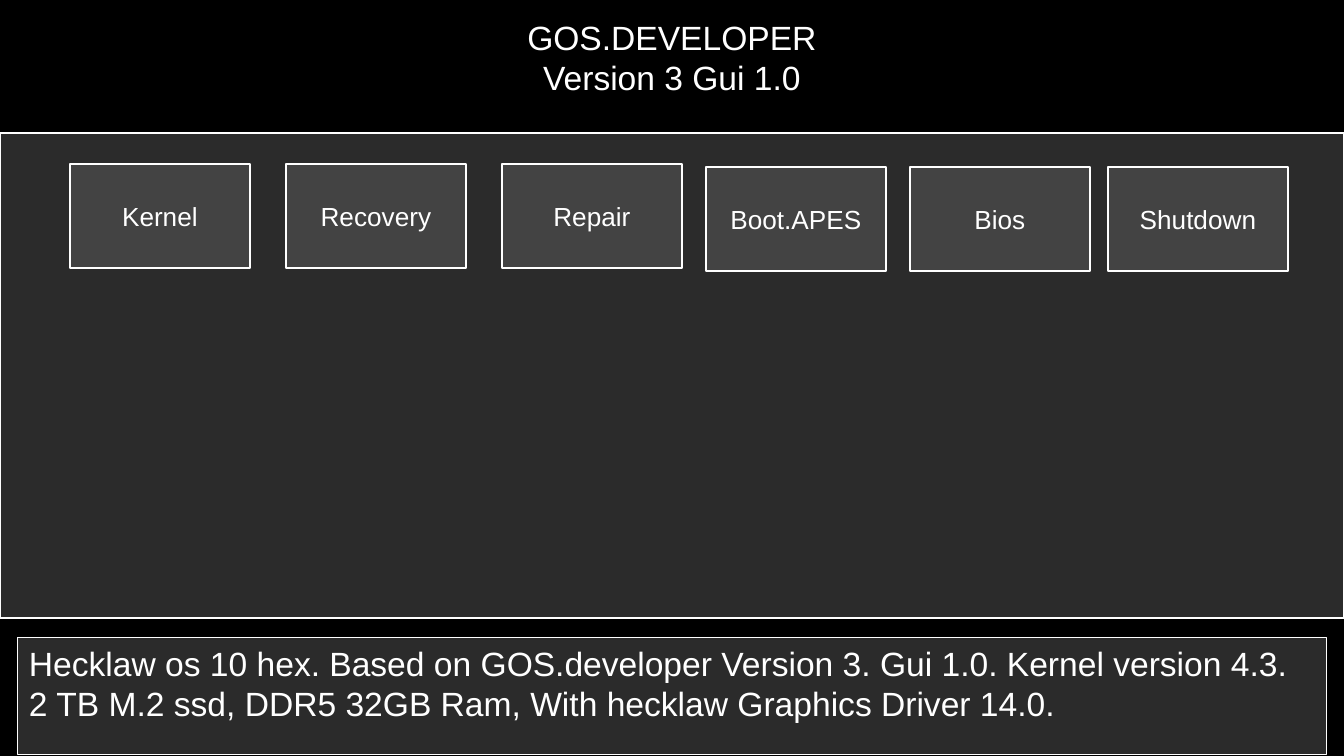
from lxml import etree
from pptx import Presentation
from pptx.dml.color import RGBColor
from pptx.enum.shapes import MSO_SHAPE
from pptx.enum.text import MSO_ANCHOR, MSO_AUTO_SIZE, PP_ALIGN
from pptx.oxml.ns import qn
from pptx.util import Pt

RECT, FRAME = MSO_SHAPE.RECTANGLE, MSO_SHAPE.FRAME
TOP, MIDDLE = MSO_ANCHOR.TOP, MSO_ANCHOR.MIDDLE
LEFT, CENTER = PP_ALIGN.LEFT, PP_ALIGN.CENTER
NO_FIT = MSO_AUTO_SIZE.NONE

BLACK = RGBColor(0x00, 0x00, 0x00)
WHITE = RGBColor(0xFF, 0xFF, 0xFF)
PANEL = RGBColor(0x31, 0x31, 0x31)
BUTTON = RGBColor(0x43, 0x43, 0x43)

PX = 9144000 / 1344  # EMU in one px


def add_box(kind, box, color):
    shape = slide.shapes.add_shape(kind, *[round(n * PX) for n in box])
    shape.shadow.inherit = False
    shape.fill.solid()
    shape.fill.fore_color.rgb = color
    shape.line.color.rgb = WHITE
    shape.line.width = Pt(0.75)
    return shape


def set_text(shape, lines, size, align, anchor):
    frame = shape.text_frame
    frame.text = "\n".join(lines)
    inset = round(13 * PX)
    form = {"word_wrap": True, "auto_size": NO_FIT, "vertical_anchor": anchor,
            "margin_left": inset, "margin_right": inset,
            "margin_top": inset, "margin_bottom": inset}
    for key, value in form.items():
        setattr(frame, key, value)
    for para in frame.paragraphs:
        para.alignment = align
        for key, value in {"name": "Arial", "size": Pt(size)}.items():
            setattr(para.font, key, value)
        para.font.color.rgb = WHITE


# Slide and background
deck = Presentation()
deck.slide_width, deck.slide_height = round(1344 * PX), round(756 * PX)
slide = deck.slides.add_slide(deck.slide_layouts[5])
slide.background.fill.solid()
slide.background.fill.fore_color.rgb = BLACK

# Title
title = slide.shapes.title
spots = {"left": 502, "top": 4, "width": 340, "height": 104}
for key, value in spots.items():
    setattr(title, key, round(value * PX))
set_text(title, ["GOS.DEVELOPER Version 3 Gui 1.0"], 18, CENTER, TOP)

# Main panel, slightly see-through
panel = add_box(RECT, (0, 133, 1344, 640), PANEL)
tint = panel.fill._xPr.find(qn("a:solidFill"))[0]
etree.SubElement(tint, qn("a:alpha"), val="88000")

# Menu buttons: label, left, top
menu = [("Kernel", 70, 164), ("Recovery", 286, 164), ("Repair", 502, 164),
        ("Boot.APES", 706, 167), ("Bios", 910, 167), ("Shutdown", 1108, 167)]
for label, left, top in menu:
    button = add_box(RECT, (left, top, 180, 104), BUTTON)
    set_text(button, [label], 14, CENTER, MIDDLE)

# Status bar
bar = add_box(FRAME, (-2, 618, 1348, 156), BLACK)
bar.adjustments[0] = 0.125
status = slide.shapes.add_textbox(
    *[round(n * PX) for n in (16, 630, 1312, 121)])
set_text(status, [
    "Hecklaw os 10 hex. Based on GOS.developer Version 3. Gui 1.0. "
    "Kernel version 4.3.",
    "2 TB M.2 ssd, DDR5 32GB Ram, With hecklaw Graphics Driver 14.0.",
], 18, LEFT, TOP)

deck.save("out.pptx")
